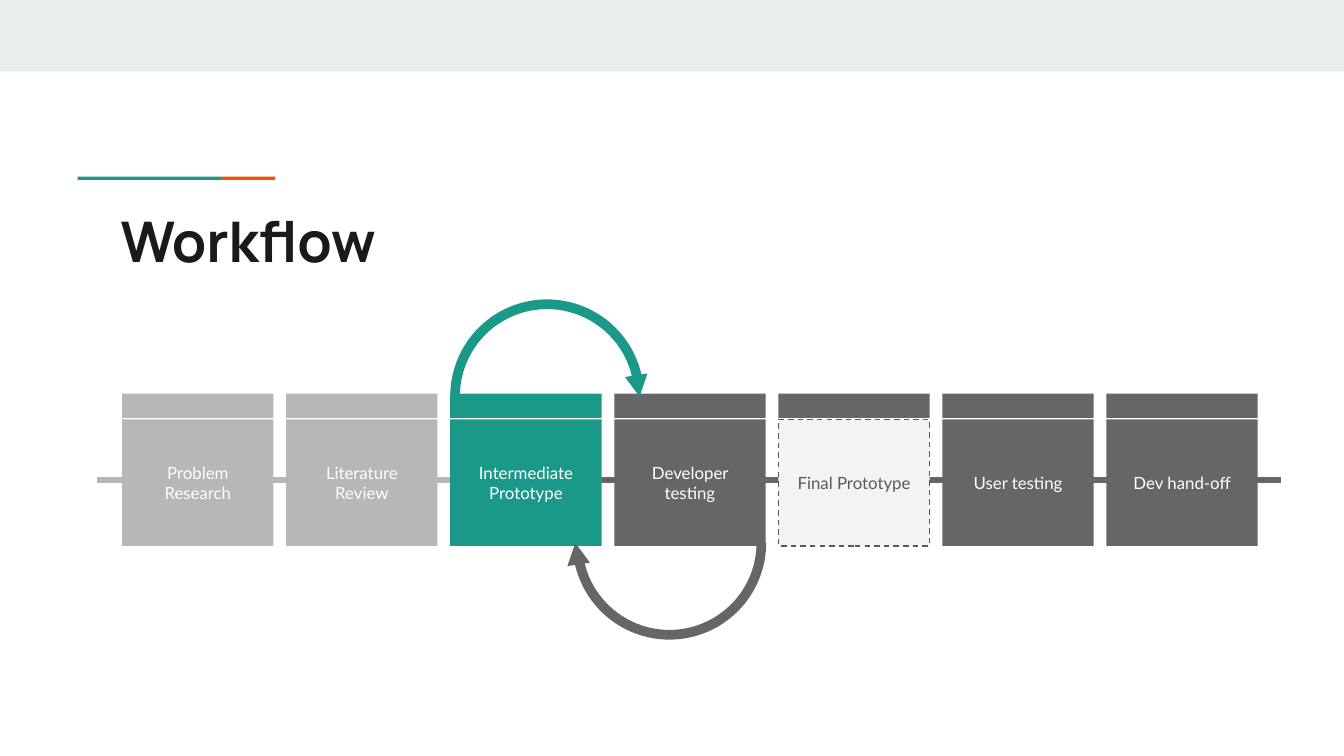
from pptx import Presentation
from pptx.dml.color import RGBColor
from pptx.enum.dml import MSO_LINE
from pptx.enum.shapes import MSO_CONNECTOR, MSO_SHAPE as Preset
from pptx.enum.text import MSO_ANCHOR, PP_ALIGN
from pptx.oxml.ns import qn
from pptx.util import Cm, Pt

COLORS = {
    "band": "E9EDEE", "teal": "1A9988", "orange": "EB5600", "title": "1A1A1A",
    "done": "B7B7B7", "todo": "666666", "pale": "F3F3F3", "ink": "595959",
    "white": "FFFFFF",
}

TITLE_FONT = {"name": "Manrope", "size": Pt(30), "bold": True}
STAGE_FONT = {"name": "Lato", "size": Pt(9)}
TITLE_FRAME = {"word_wrap": True, "vertical_anchor": MSO_ANCHOR.TOP,
               "margin_top": Cm(0.25), "margin_bottom": Cm(0.25)}
STAGE_FRAME = {"word_wrap": True, "vertical_anchor": MSO_ANCHOR.MIDDLE}
DASHED = {"width": Pt(0.75), "dash_style": MSO_LINE.DASH}

# Stage label and colour, in order of work
STAGES = [
    ("Problem Research", "done"),
    ("Literature Review", "done"),
    ("Intermediate Prototype", "teal"),
    ("Developer testing", "todo"),
    ("Final Prototype", "todo"),
    ("User testing", "todo"),
    ("Dev hand-off", "todo"),
]
OUTLINED_STAGE = "Final Prototype"
FIRST_LEFT, STAGE_PITCH, STAGE_WIDTH = 2.31, 3.1, 2.86
TAB_TOP, TAB_HEIGHT = 7.44, 0.46
BODY_TOP, BODY_HEIGHT = 7.93, 2.39

# Loop arcs: start angle, end angle and thickness as adjustments
ARC_SIZE, ARC_SHAPE = 3.66, (108, 211.46, 0.05)
HEAD_WIDTH, HEAD_HEIGHT, HEAD_TILT = 0.43, 0.41, 171.1


def rgb(color):
    return RGBColor.from_string(COLORS[color])


def apply(target, values):
    for attribute, value in values.items():
        setattr(target, attribute, value)


def add_block(parent, preset, left, top, width, height, color):
    block = parent.add_shape(preset, Cm(left), Cm(top), Cm(width), Cm(height))
    block.shadow.inherit = False
    block.fill.solid()
    block.fill.fore_color.rgb = rgb(color)
    block.line.fill.background()
    return block


def write(box, text, frame_format, font_format, color, align):
    frame = box.text_frame
    apply(frame, frame_format)
    paragraph = frame.paragraphs[0]
    paragraph.alignment = align
    run = paragraph.add_run()
    run.text = text
    apply(run.font, font_format)
    run.font.color.rgb = rgb(color)


def add_rail(shapes, start, end, color):
    y = Cm(9.07)
    rail = shapes.add_connector(MSO_CONNECTOR.STRAIGHT, Cm(start), y, Cm(end), y)
    rail.line.width = Pt(3)
    rail.line.color.rgb = rgb(color)
    properties = rail._element.spPr
    properties.append(properties.makeelement(qn("a:effectLst"), {}))


def add_stage(shapes, left, label, color):
    stage = shapes.add_group_shape().shapes
    outlined = label == OUTLINED_STAGE
    body = add_block(stage, Preset.RECTANGLE, left, BODY_TOP, STAGE_WIDTH,
                     BODY_HEIGHT, "pale" if outlined else color)
    if outlined:
        body.line.color.rgb = rgb("ink")
        apply(body.line, DASHED)
    write(body, label, STAGE_FRAME, STAGE_FONT,
          "ink" if outlined else "white", PP_ALIGN.CENTER)
    add_block(stage, Preset.RECTANGLE, left, TAB_TOP, STAGE_WIDTH, TAB_HEIGHT, color)


def add_loop(shapes, arc_at, head_at, turn, color):
    loop = shapes.add_group_shape().shapes
    arc = add_block(loop, Preset.BLOCK_ARC, *arc_at, ARC_SIZE, ARC_SIZE, color)
    for index, value in enumerate(ARC_SHAPE):
        arc.adjustments[index] = value
    arc.rotation = turn
    head = add_block(loop, Preset.ISOSCELES_TRIANGLE, *head_at,
                     HEAD_WIDTH, HEAD_HEIGHT, color)
    head.rotation = HEAD_TILT + turn


def main():
    deck = Presentation()
    deck.slide_width, deck.slide_height = Cm(25.4), Cm(14.29)
    shapes = deck.slides.add_slide(deck.slide_layouts[6]).shapes

    # Top band and two-colour accent
    add_block(shapes, Preset.RECTANGLE, 0, 0, 25.4, 1.35, "band")
    add_block(shapes, Preset.RECTANGLE, 1.47, 3.34, 2.71, 0.06, "teal")
    add_block(shapes, Preset.RECTANGLE, 4.18, 3.34, 1.02, 0.06, "orange")

    # Title
    title = shapes.add_textbox(Cm(2.03), Cm(3.66), Cm(21.36), Cm(1.5))
    write(title, "Workflow", TITLE_FRAME, TITLE_FONT, "title", PP_ALIGN.LEFT)

    # Rails behind the stages
    add_rail(shapes, 11.3, 24.21, "todo")
    add_rail(shapes, 1.83, 10.77, "done")

    # Stages
    for index, (label, color) in enumerate(STAGES):
        add_stage(shapes, FIRST_LEFT + index * STAGE_PITCH, label, color)

    # Loop between prototype and testing
    add_loop(shapes, (8.51, 5.66), (11.84, 7.09), 0, "teal")
    add_loop(shapes, (10.82, 8.43), (10.69, 10.26), 180, "todo")

    deck.save("out.pptx")


if __name__ == "__main__":
    main()
